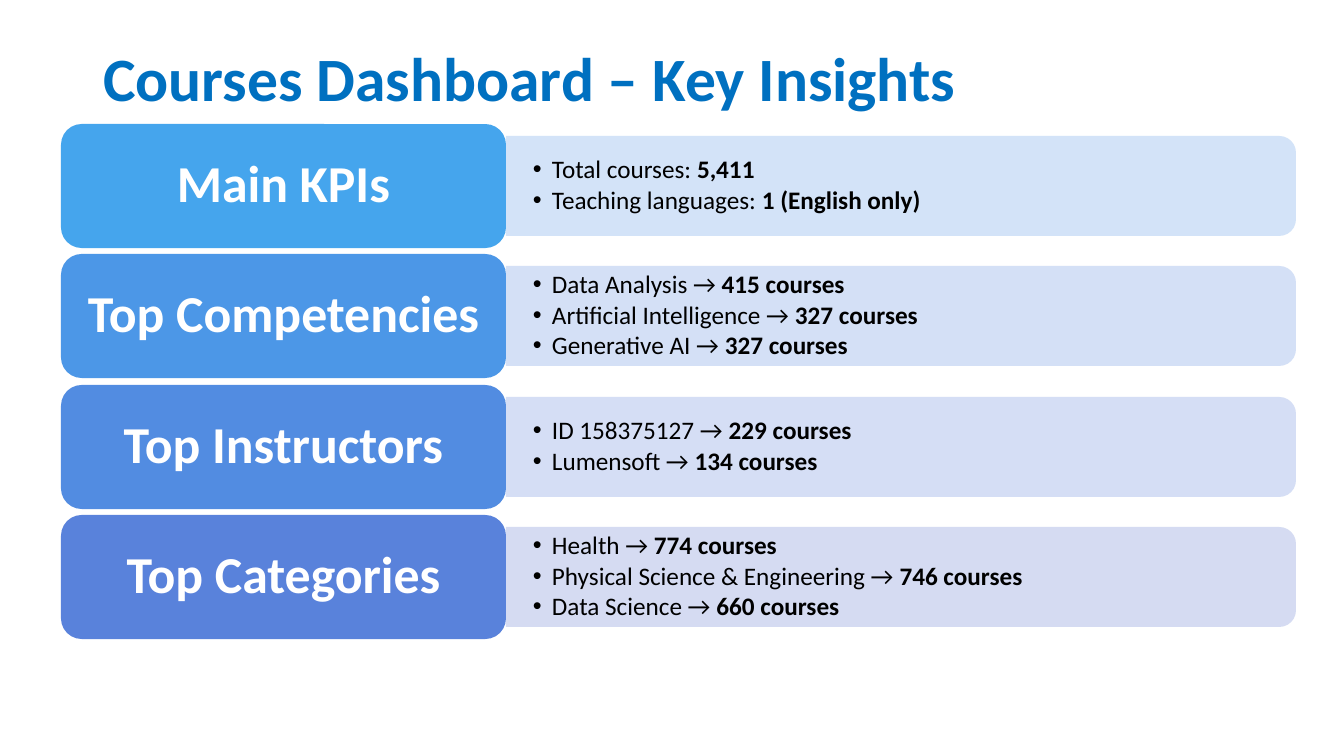
import pptx
import pptx.util
import pptx.dml.color
import pptx.enum.shapes
import pptx.enum.text
import pptx.oxml
import pptx.oxml.ns
import lxml.etree

PX = 12192000 / 1344
COLORS = {
    "title": "0070C0",
    "label text": "FFFFFF",
    "list text": "000000",
}
SECTIONS = [
    ("Main KPIs", "45A5ED", "CFE1F8",
     [("Total courses: ", "5,411"),
      ("Teaching languages: ", "1 (English only)")]),
    ("Top Competencies", "4C97E7", "D0DDF6",
     [("Data Analysis → ", "415 courses"),
      ("Artificial Intelligence → ", "327 courses"),
      ("Generative AI → ", "327 courses")]),
    ("Top Instructors", "528CE1", "D1DBF4",
     [("ID 158375127 → ", "229 courses"),
      ("Lumensoft → ", "134 courses")]),
    ("Top Categories", "5982DB", "D1D8F1",
     [("Health → ", "774 courses"),
      ("Physical Science & Engineering → ", "746 courses"),
      ("Data Science → ", "660 courses")]),
]


def px(*lengths):
    return [pptx.util.Emu(round(length * PX)) for length in lengths]


def apply(target, color=None, **values):
    for name, value in values.items():
        setattr(target, name, value)
    if color:
        target.color.rgb = pptx.dml.color.RGBColor.from_string(color)


# Format values
ALIGN = pptx.enum.text.PP_ALIGN
SHAPES = pptx.enum.shapes.MSO_SHAPE
ZERO, BULLET_INDENT, LIST_SIDE, LIST_EDGE, LABEL_SIDE, LABEL_EDGE = px(0, 19, 27, 14, 20, 14)
FRAME = {
    "word_wrap": True,
    "auto_size": pptx.enum.text.MSO_AUTO_SIZE.NONE,
    "vertical_anchor": pptx.enum.text.MSO_ANCHOR.MIDDLE,
}
LIST_FRAME = FRAME | {"margin_left": LIST_SIDE, "margin_right": LIST_SIDE,
                      "margin_top": LIST_EDGE, "margin_bottom": LIST_EDGE}
LABEL_FRAME = FRAME | {"margin_left": LABEL_SIDE, "margin_right": LABEL_SIDE,
                       "margin_top": LABEL_EDGE, "margin_bottom": LABEL_EDGE}
TITLE_FONT = {"name": "Calibri", "size": pptx.util.Pt(44), "bold": True, "color": COLORS["title"]}
LABEL_FONT = {"name": "Calibri", "size": pptx.util.Pt(37), "bold": True, "color": COLORS["label text"]}
LIST_FONT = {"name": "Calibri", "size": pptx.util.Pt(18), "color": COLORS["list text"]}
LIST_PARAGRAPH = {"alignment": ALIGN.LEFT, "line_spacing": 0.9, "level": 1,
                  "space_before": ZERO, "space_after": pptx.util.Pt(2.4)}

# Slide with a title and four body placeholders
deck = pptx.Presentation()
deck.slide_width, deck.slide_height = px(1344, 756)
slide = deck.slides.add_slide(deck.slide_layouts.get_by_name("Comparison"))
for footer in list(slide.placeholders):
    if footer.placeholder_format.idx >= 10:
        footer.element.getparent().remove(footer.element)

# Title
title = slide.shapes.title
title.left, title.top, title.width, title.height = px(93, 40, 1159, 84)
title.text_frame.text = "Courses Dashboard – Key Insights"
apply(title.text_frame, **FRAME)
apply(title.text_frame.paragraphs[0], alignment=ALIGN.LEFT, line_spacing=0.9)
apply(title.text_frame.paragraphs[0].runs[0].font, **TITLE_FONT)

# One row per section: panel, list, label
LABEL_LEFT, LABEL_WIDTH, LABEL_HEIGHT = 61, 445, 124
PANEL_LEFT, PANEL_WIDTH, PANEL_HEIGHT = 506, 790, 100
LIST_HEIGHT = 90
insights = [body for body in slide.placeholders if body.placeholder_format.idx > 0]

for row, (insight, (heading, label_color, panel_color, facts)) in enumerate(zip(insights, SECTIONS)):
    top = 124 + round(row * 391 / 3)
    middle = top + LABEL_HEIGHT / 2

    # Panel: rounded top turned to the right
    panel = slide.shapes.add_shape(
        SHAPES.ROUND_2_SAME_RECTANGLE,
        *px(PANEL_LEFT + (PANEL_WIDTH - PANEL_HEIGHT) / 2, middle - PANEL_WIDTH / 2,
            PANEL_HEIGHT, PANEL_WIDTH))
    panel.rotation = 90
    label = slide.shapes.add_shape(
        SHAPES.ROUNDED_RECTANGLE, *px(LABEL_LEFT, top, LABEL_WIDTH, LABEL_HEIGHT))
    for block, color in ((panel, panel_color), (label, label_color)):
        block.shadow.inherit = False
        block.fill.solid()
        block.fill.fore_color.rgb = pptx.dml.color.RGBColor.from_string(color)
        block.line.fill.background()
    panel_tint = panel.element.spPr.find(".//" + pptx.oxml.ns.qn("a:srgbClr"))
    lxml.etree.SubElement(panel_tint, pptx.oxml.ns.qn("a:alpha"), val="90000")

    # List, stacked above its panel
    panel.element.addnext(insight.element)
    insight.left, insight.top, insight.width, insight.height = px(
        PANEL_LEFT, middle - LIST_HEIGHT / 2, PANEL_WIDTH, LIST_HEIGHT)
    apply(insight.text_frame, **LIST_FRAME)
    for number, fact in enumerate(facts):
        line = insight.text_frame.paragraphs[0] if number == 0 else insight.text_frame.add_paragraph()
        apply(line, **LIST_PARAGRAPH)
        properties = line._p.get_or_add_pPr()
        properties.set("marL", str(BULLET_INDENT))
        properties.set("indent", str(-BULLET_INDENT))
        lxml.etree.SubElement(properties, pptx.oxml.ns.qn("a:buFont"), typeface="Arial")
        lxml.etree.SubElement(properties, pptx.oxml.ns.qn("a:buChar"), char="•")
        for words, bold in zip(fact, (False, True)):
            run = line.add_run()
            run.text = words
            apply(run.font, bold=bold, **LIST_FONT)

    # Label
    label.text_frame.text = heading
    apply(label.text_frame, **LABEL_FRAME)
    apply(label.text_frame.paragraphs[0], alignment=ALIGN.CENTER, line_spacing=0.9)
    apply(label.text_frame.paragraphs[0].runs[0].font, **LABEL_FONT)

deck.save("out.pptx")
